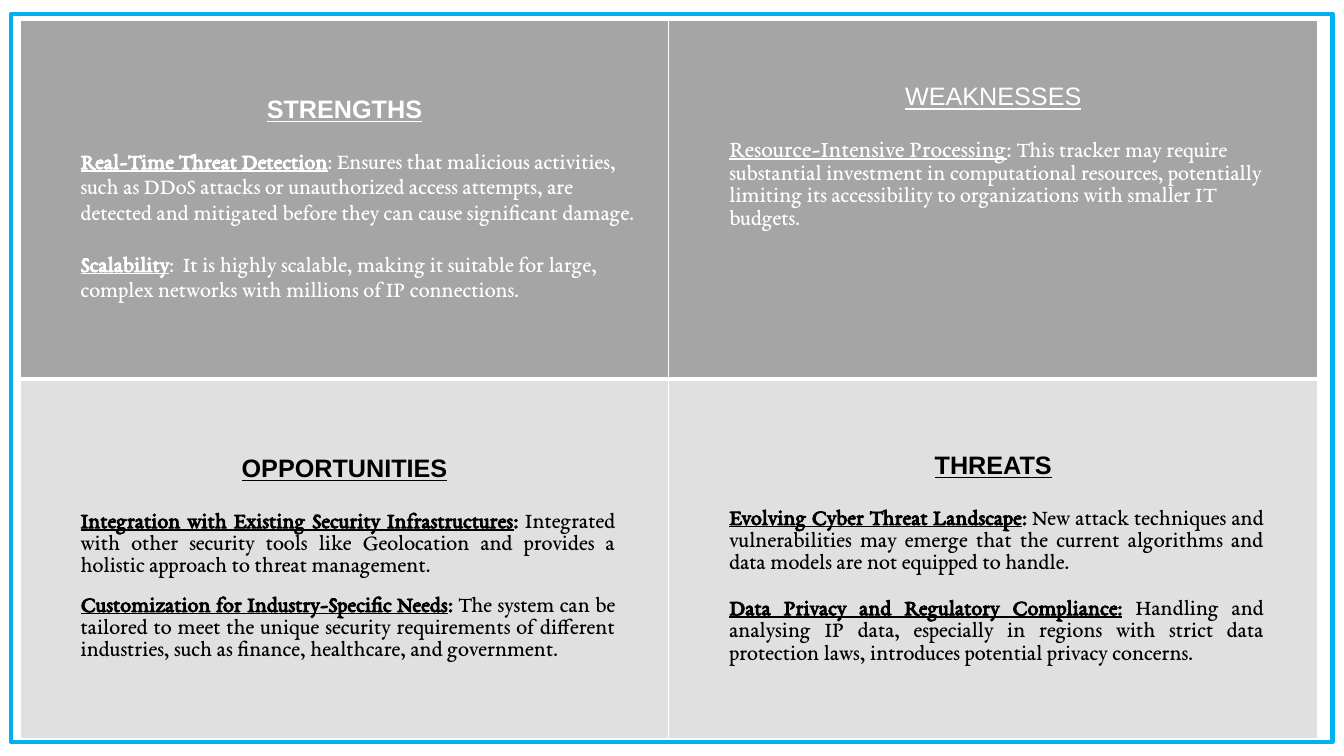
from pptx import Presentation
from pptx.dml.color import RGBColor
from pptx.enum.shapes import MSO_SHAPE
from pptx.enum.text import MSO_ANCHOR, PP_ALIGN
from pptx.oxml import parse_xml
from pptx.oxml.ns import nsdecls
from pptx.util import Pt


def color(hex_value):
    return RGBColor.from_string(hex_value)


def add_span(para, text, hex_value, **formats):
    span = para.add_run()
    span.text = text
    span.font.color.rgb = color(hex_value)
    for name, value in formats.items():
        setattr(span.font, name, value)


# Quadrants: lead is (underlined text, colon text), gap is the space between points
quadrants = [
    dict(title="STRENGTHS", fill="A5A5A5", ink="FFFFFF", bold=True, lead_size=16,
         align=PP_ALIGN.LEFT, right=13, spacing=1.15, title_gap=18.4, gap=18.4,
         top=3.6, anchor=MSO_ANCHOR.MIDDLE, colon_bold=False, points=[
             ("Real-Time Threat Detection", ": ",
              "Ensures that malicious activities, such as DDoS attacks or unauthorized "
              "access attempts, are detected and mitigated before they can cause "
              "significant damage."),
             ("Scalability", ":  ",
              "It is highly scalable, making it suitable for large, complex networks "
              "with millions of IP connections.")]),
    dict(title="WEAKNESSES", fill="A5A5A5", ink="FFFFFF", bold=False, lead_size=17,
         align=PP_ALIGN.LEFT, right=31, spacing=1.0, title_gap=20.7, gap=0,
         top=45, anchor=MSO_ANCHOR.TOP, colon_bold=False, points=[
             ("Resource-Intensive Processing", ": ",
              "This tracker may require substantial investment in computational "
              "resources, potentially limiting its accessibility to organizations "
              "with smaller IT budgets.")]),
    dict(title="OPPORTUNITIES", fill="E0E0E0", ink="000000", bold=True, lead_size=16,
         align=PP_ALIGN.JUSTIFY, right=31, spacing=1.0, title_gap=20.7, gap=12,
         top=3.6, anchor=MSO_ANCHOR.MIDDLE, colon_bold=True, points=[
             ("Integration with Existing Security Infrastructures", ": ",
              "Integrated with other security tools like Geolocation and provides a "
              "holistic approach to threat management."),
             ("Customization for Industry-Specific Needs", ": ",
              "The system can be tailored to meet the unique security requirements of "
              "different industries, such as finance, healthcare, and government.")]),
    dict(title="THREATS", fill="E0E0E0", ink="000000", bold=True, lead_size=16,
         align=PP_ALIGN.JUSTIFY, right=31, spacing=1.0, title_gap=20.7, gap=16.6,
         top=3.6, anchor=MSO_ANCHOR.MIDDLE, colon_bold=True, points=[
             ("Evolving Cyber Threat Landscape", ": ",
              "New attack techniques and vulnerabilities may emerge that the current "
              "algorithms and data models are not equipped to handle."),
             ("Data Privacy and Regulatory Compliance:", " ",
              "Handling and analysing IP data, especially in regions with strict data "
              "protection laws, introduces potential privacy concerns.")]),
]

deck = Presentation()
deck.slide_width, deck.slide_height = Pt(960), Pt(540)
page = deck.slides.add_slide(deck.slide_layouts[6])

# SWOT table
table = page.shapes.add_table(2, 2, Pt(14.4), Pt(14.4), Pt(926.8), Pt(513)).table
table.first_row = table.horz_banding = False
for column in table.columns:
    column.width = Pt(463.4)
for row in table.rows:
    row.height = Pt(256.5)

for index, quadrant in enumerate(quadrants):
    row_index, column_index = divmod(index, 2)
    cell = table.cell(row_index, column_index)
    ink, bold = quadrant["ink"], quadrant["bold"]
    cell.vertical_anchor = quadrant["anchor"]
    cell.margin_top = Pt(quadrant["top"])

    # Borders, with a thick rule under the first row
    for side in "LRTB":
        width = 3 if side == "B" and row_index == 0 else 1
        cell._tc.get_or_add_tcPr().append(parse_xml(
            f'<a:ln{side} {nsdecls("a")} w="{Pt(width)}"><a:solidFill>'
            f'<a:srgbClr val="FFFFFF"/></a:solidFill></a:ln{side}>'))
    cell.fill.solid()
    cell.fill.fore_color.rgb = color(quadrant["fill"])

    # Heading
    heading = cell.text_frame.paragraphs[0]
    heading.alignment = PP_ALIGN.CENTER
    add_span(heading, quadrant["title"], ink, name="Arial", size=Pt(18),
             bold=bold, underline=True)

    # Points
    for number, (lead, colon, body) in enumerate(quadrant["points"]):
        para = cell.text_frame.add_paragraph()
        para.alignment = quadrant["align"]
        para.line_spacing = quadrant["spacing"]
        para.space_before = Pt(quadrant["gap"] if number else quadrant["title_gap"])
        properties = para._p.get_or_add_pPr()
        properties.set("marL", str(Pt(36)))
        properties.set("marR", str(Pt(quadrant["right"])))
        lead_size = Pt(quadrant["lead_size"])
        add_span(para, lead, ink, name="EB Garamond", size=lead_size,
                 bold=bold, underline=True)
        add_span(para, colon, ink, name="EB Garamond", size=lead_size,
                 bold=quadrant["colon_bold"], underline=False)
        add_span(para, body, ink, name="EB Garamond", size=Pt(16),
                 bold=False, underline=False)

# Blue frame
frame = page.shapes.add_shape(MSO_SHAPE.RECTANGLE, Pt(7.9), Pt(10), Pt(944), Pt(520))
frame.shadow.inherit = False
frame.fill.background()
frame.line.color.rgb = color("00B0F0")
frame.line.width = Pt(3)

deck.save("out.pptx")
